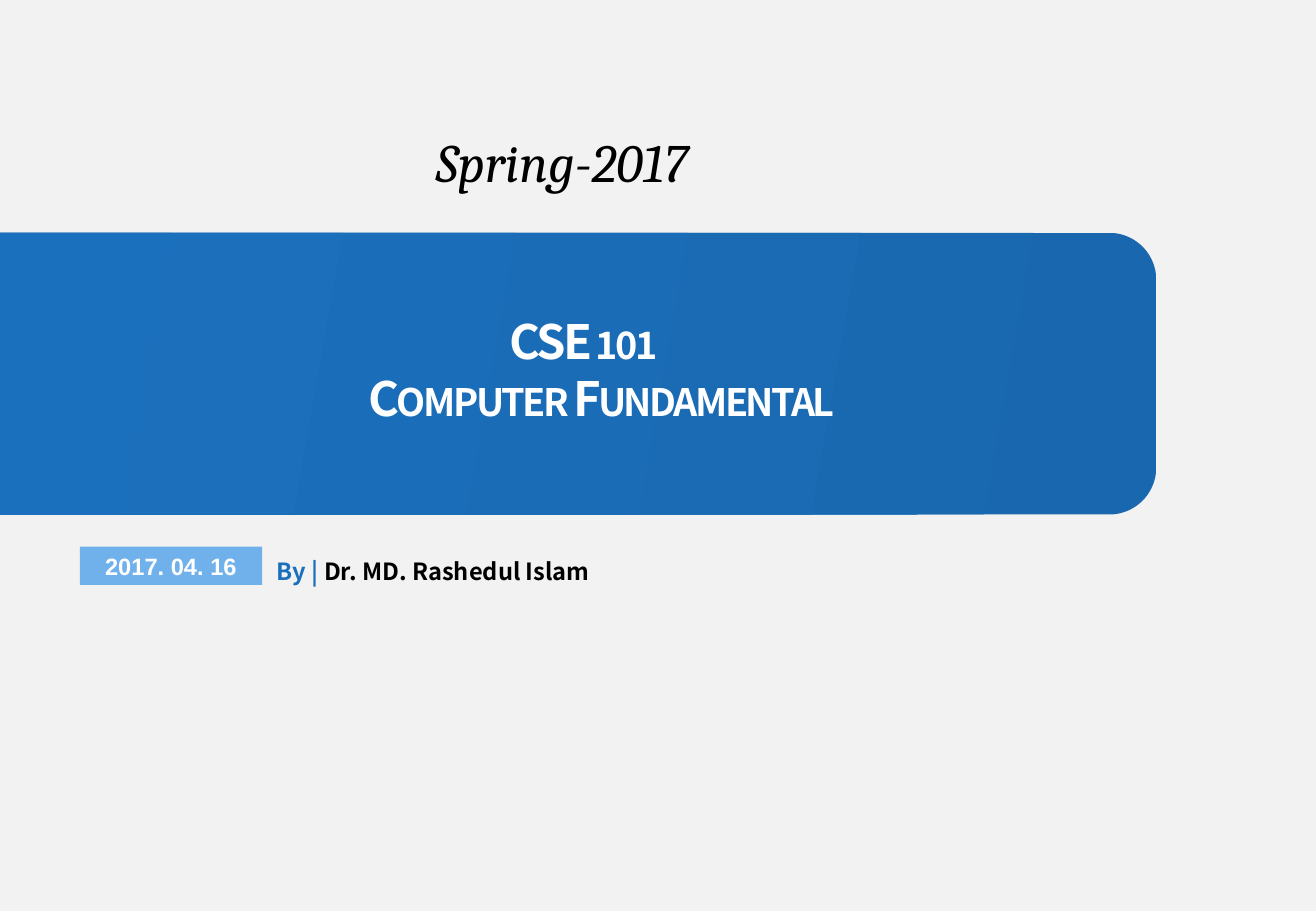
from copy import deepcopy

from pptx import Presentation
from pptx import util as u
from pptx.dml.color import RGBColor
from pptx.enum import shapes, text

GREY = RGBColor(0xF2, 0xF2, 0xF2)
DEEP_BLUE = RGBColor(0x19, 0x68, 0xAF)
BLUE = RGBColor(0x1B, 0x70, 0xBD)
LIGHT_BLUE = RGBColor(0x71, 0xB1, 0xEB)
WHITE = RGBColor(0xFF, 0xFF, 0xFF)
BLACK = RGBColor(0, 0, 0)
SANS = "Noto Sans CJK KR"


def place(shape, left, top, width, height):
    shape.left, shape.top = u.Cm(left), u.Cm(top)
    shape.width, shape.height = u.Cm(width), u.Cm(height)


def style(run, font, size, color, bold=False, italic=False):
    run.font.name = font
    run.font.size = u.Pt(size)
    run.font.color.rgb = color
    run.font.bold = bold
    run.font.italic = italic


prs = Presentation()
prs.slide_width, prs.slide_height = u.Cm(27.51), u.Cm(19.05)
slide = prs.slides.add_slide(prs.slide_layouts[0])
slide.background.fill.solid()
slide.background.fill.fore_color.rgb = GREY

# Blue band, turned so its rounded corners face right, behind the title
band = slide.shapes.add_shape(
    shapes.MSO_SHAPE.ROUND_2_SAME_RECTANGLE,
    u.Cm(9.12), u.Cm(-4.29), u.Cm(5.89), u.Cm(24.21))
band.rotation = 90
band.shadow.inherit = False
band.line.fill.background()
band.fill.gradient()
band.fill.gradient_angle = 260
for stop, position, color in zip(band.fill.gradient_stops, (0, 1), (DEEP_BLUE, BLUE)):
    stop.position = position
    stop.color.rgb = color
band._element.getparent().insert(2, band._element)

# Course title
title = slide.shapes.title
place(title, 0.2, 5.28, 23.7, 4.88)
title.text_frame.auto_size = text.MSO_AUTO_SIZE.NONE
title.text_frame.vertical_anchor = text.MSO_ANCHOR.MIDDLE
course = title.text_frame.paragraphs[0]
course.text = "CSE 101 \vComputer Fundamental"
course.alignment = text.PP_ALIGN.CENTER
for line in course.runs:
    style(line, SANS, 28, WHITE, bold=True)
    line.font._element.set("spc", "-150")
    line.font._element.set("cap", "small")
# The line break takes the size of the text around it
course.runs[0]._r.getnext().append(deepcopy(course.runs[0].font._element))

# Semester
semester = slide.placeholders[1]
place(semester, 0, 2.57, 23.5, 1.63)
semester.text_frame.auto_size = text.MSO_AUTO_SIZE.NONE
term = semester.text_frame.paragraphs[0]
term.text = "Spring-2017"
term.alignment = text.PP_ALIGN.CENTER
term.space_before = u.Pt(0)
style(term.runs[0], "Cambria", 32, BLACK, italic=True)

# Date tag
date = slide.shapes.add_shape(
    shapes.MSO_SHAPE.RECTANGLE, u.Cm(1.67), u.Cm(11.43), u.Cm(3.81), u.Cm(0.8))
date.shadow.inherit = False
date.fill.solid()
date.fill.fore_color.rgb = LIGHT_BLUE
date.line.fill.background()
date.text_frame.vertical_anchor = text.MSO_ANCHOR.MIDDLE
day = date.text_frame.paragraphs[0]
day.text = "2017. 04. 16"
day.alignment = text.PP_ALIGN.CENTER
style(day.runs[0], "Arial", 14, WHITE, bold=True)

# Lecturer
lecturer = slide.shapes.add_textbox(u.Cm(5.54), u.Cm(11.23), u.Cm(7.14), u.Cm(1.14))
lecturer.text_frame.word_wrap = False
byline = lecturer.text_frame.paragraphs[0]
byline.line_spacing = 1.5
for words, color in (("By | ", BLUE), ("Dr. MD. Rashedul Islam", BLACK)):
    part = byline.add_run()
    part.text = words
    style(part, SANS, 14, color, bold=True)

prs.save("out.pptx")
